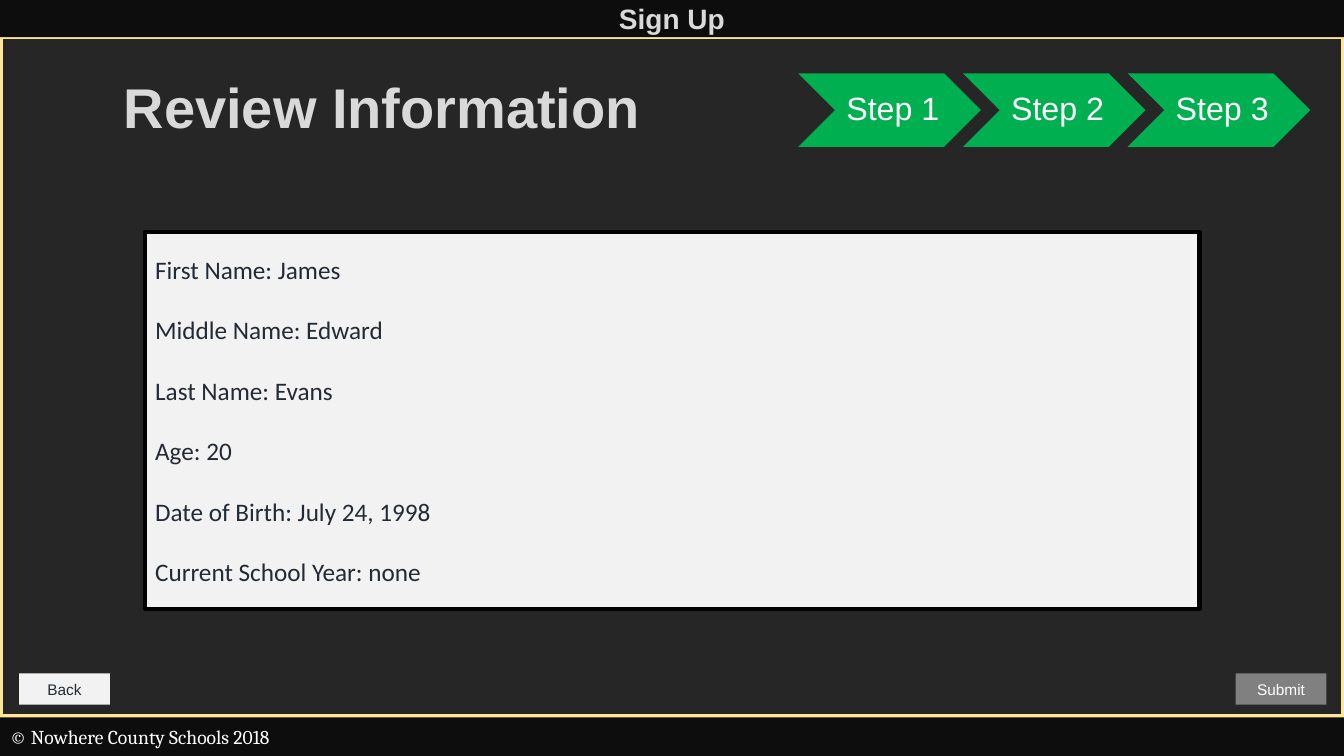
"""Build the sign-up review slide."""
from dataclasses import dataclass

from lxml.etree import SubElement
from pptx import Presentation
from pptx.dml.color import RGBColor
from pptx.enum.shapes import MSO_SHAPE as Preset
from pptx.enum.text import MSO_ANCHOR as Anchor, MSO_AUTO_SIZE as AutoSize, PP_ALIGN as Align
from pptx.oxml.ns import qn
from pptx.util import Cm, Pt


@dataclass(frozen=True)
class Theme:
    backdrop: str = "262626"
    bar: str = "0D0D0D"
    frame: str = "FFE699"
    step: str = "00B050"
    panel: str = "F2F2F2"
    border: str = "000000"
    submit: str = "808080"
    heading: str = "D9D9D9"
    dark: str = "222A35"
    white: str = "FFFFFF"
    sans: str = "Arial"
    serif: str = "Cambria"
    details: str = "Calibri"
    title_size: int = 40
    step_size: int = 23
    header_size: int = 20
    details_size: int = 18
    footer_size: int = 14
    button_size: int = 11


THEME = Theme()


def write(shape, text, *, size, color, font=THEME.sans, bold=False, align=Align.CENTER,
          spacing=1.0, insets=(0.25, 0.13, 0.25, 0.13)):
    frame = shape.text_frame
    frame.text = text
    frame.word_wrap = True
    frame.auto_size = AutoSize.NONE
    frame.vertical_anchor = Anchor.MIDDLE
    (frame.margin_left, frame.margin_top,
     frame.margin_right, frame.margin_bottom) = map(Cm, insets)
    for paragraph in frame.paragraphs:
        paragraph.alignment = align
        paragraph.line_spacing = spacing
        paragraph.space_before = Pt(0)
        style = paragraph.runs[0].font
        style.name, style.size, style.bold = font, Pt(size), bold
        style.color.rgb = RGBColor.from_string(color)


def block(preset, left, top, width, height, fill, line=None, line_width=0):
    shape = slide.shapes.add_shape(preset, Cm(left), Cm(top), Cm(width), Cm(height))
    shape.shadow.inherit = False
    shape.fill.solid()
    shape.fill.fore_color.rgb = RGBColor.from_string(fill)
    if line:
        shape.line.color.rgb = RGBColor.from_string(line)
        shape.line.width = Pt(line_width)
    else:
        shape.line.fill.background()
    return shape


deck = Presentation()
deck.slide_width, deck.slide_height = Cm(33.87), Cm(19.05)
slide = deck.slides.add_slide(deck.slide_layouts[1])
heading, details = slide.placeholders

block(Preset.RECTANGLE, 0, 0.91, 33.87, 17.17, THEME.backdrop, THEME.frame, 4.5)
header = block(Preset.RECTANGLE, 0, 0, 33.87, 0.94, THEME.bar)
write(header, "Sign Up", size=THEME.header_size, color=THEME.heading, bold=True,
      insets=(0.25, 0, 0.25, 0))
footer = block(Preset.RECTANGLE, 0, 18.08, 33.87, 0.97, THEME.bar)
write(footer, "© Nowhere County Schools 2018", size=THEME.footer_size, color=THEME.white,
      font=THEME.serif, align=Align.LEFT, insets=(0.25, 0, 0.25, 0))

for number in range(3):
    step = block(Preset.CHEVRON, 20.12 + 4.15 * number, 1.85, 4.6, 1.85, THEME.step)
    write(step, f"Step {number + 1}", size=THEME.step_size, color=THEME.white,
          spacing=0.9, insets=(0.25, 0.08, 0.08, 0.08))

heading.left, heading.top, heading.width, heading.height = Cm(2.87), Cm(1.7), Cm(14.15), Cm(1.96)
write(heading, "Review Information", size=THEME.title_size, color=THEME.heading, bold=True,
      align=Align.LEFT)

details.left, details.top, details.width, details.height = Cm(3.66), Cm(5.84), Cm(26.57), Cm(9.5)
details.fill.solid()
details.fill.fore_color.rgb = RGBColor.from_string(THEME.panel)
details.line.color.rgb = RGBColor.from_string(THEME.border)
details.line.width = Pt(3)
write(details, "\n".join((
    "First Name: James",
    "Middle Name: Edward",
    "Last Name: Evans",
    "Age: 20",
    "Date of Birth: July 24, 1998",
    "Current School Year: none",
)), size=THEME.details_size, color=THEME.dark, font=THEME.details, align=Align.LEFT,
    spacing=2.0, insets=(0.25, 0.13, 0.25, 0.89))
for paragraph in details.text_frame.paragraphs:
    properties = paragraph._p.get_or_add_pPr()
    properties.set("marL", "0")
    properties.set("indent", "0")
    SubElement(properties, qn("a:buNone"))

for placeholder in (heading, details):
    slide.shapes._spTree.append(placeholder._element)

for label, left, fill, color in (
    ("Back", 0.48, THEME.panel, THEME.dark),
    ("Submit", 31.14, THEME.submit, THEME.white),
):
    button = block(Preset.RECTANGLE, left, 16.97, 2.29, 0.79, fill)
    write(button, label, size=THEME.button_size, color=color)

deck.save("out.pptx")
